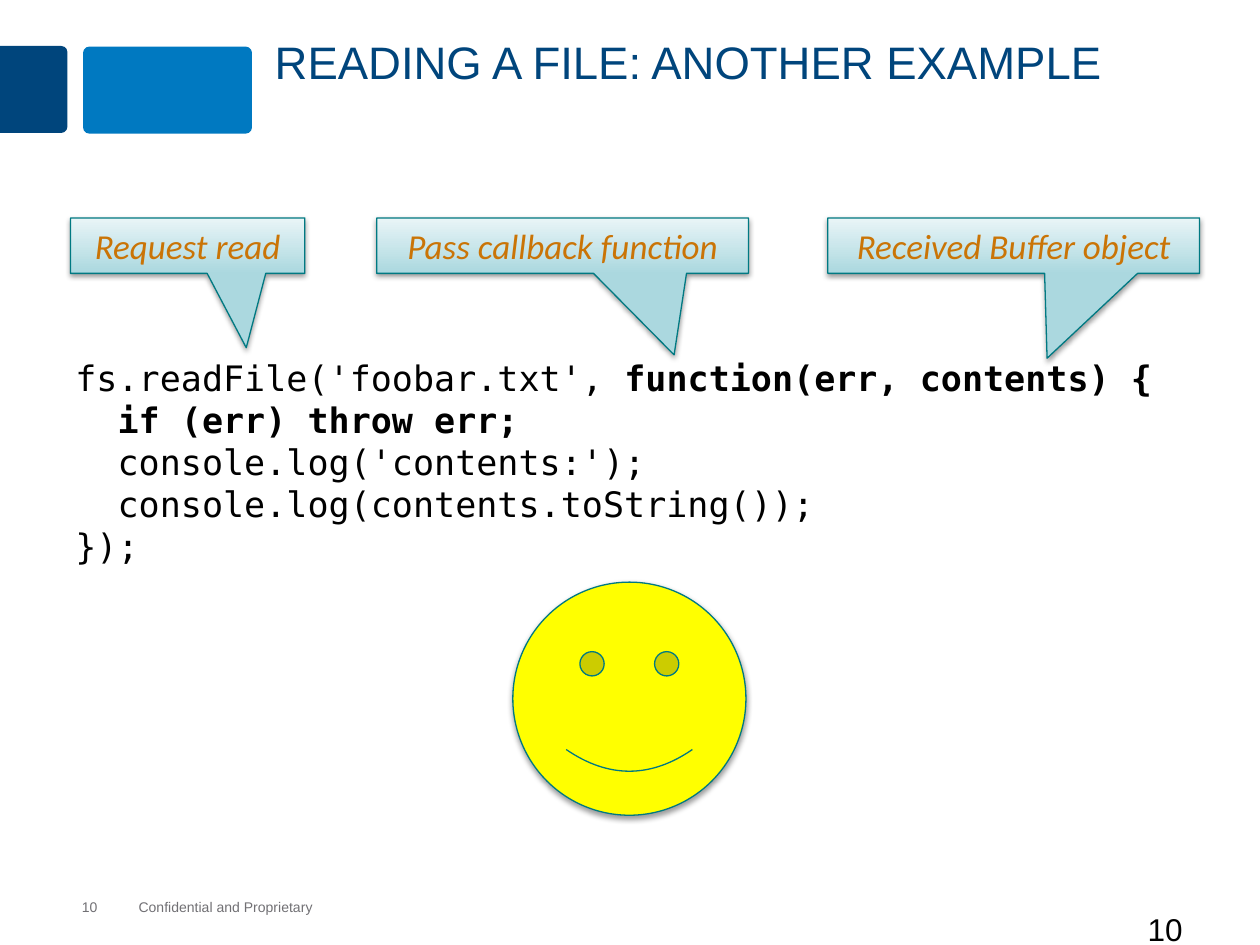
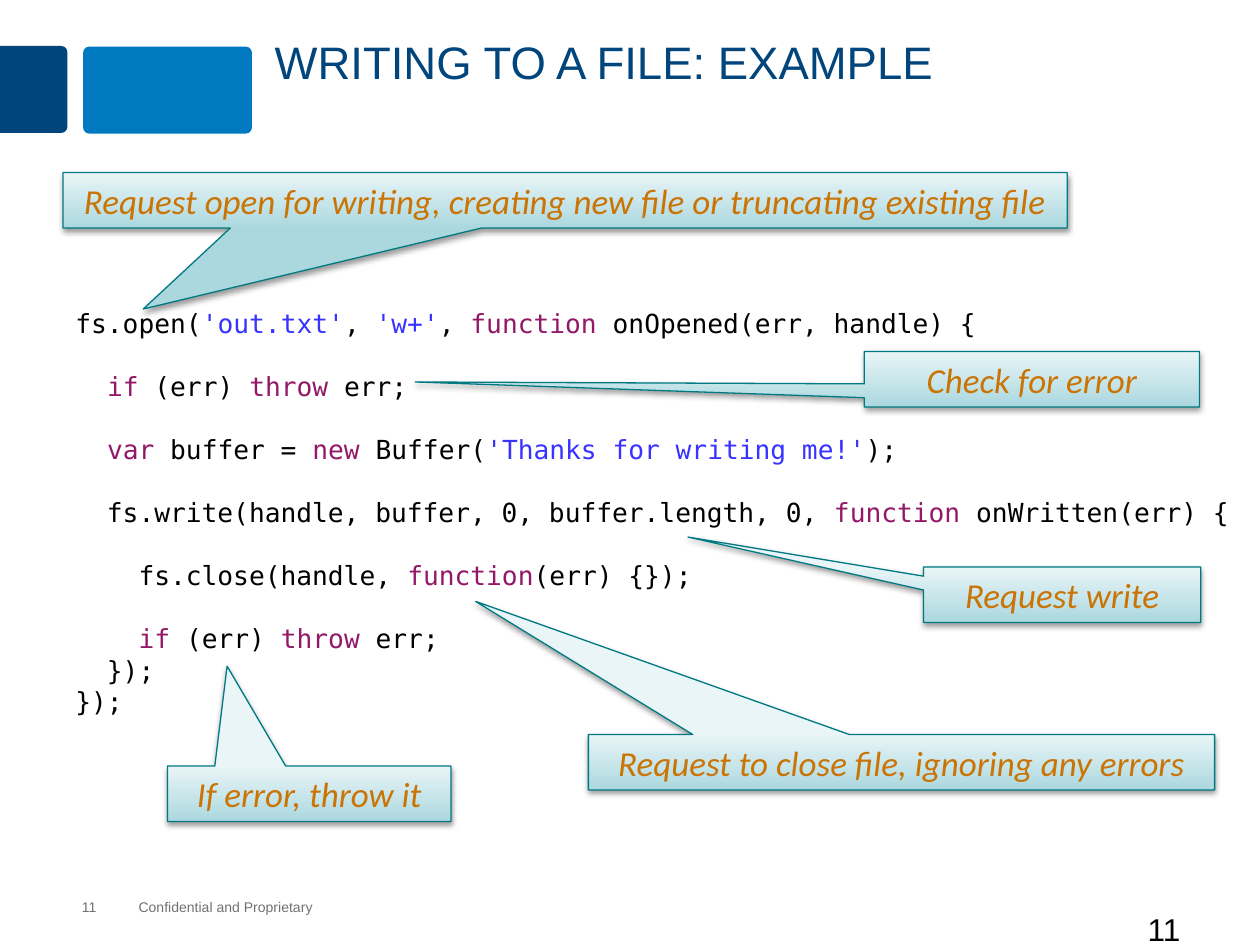
from lxml import etree
from pptx import Presentation
from pptx.dml.color import RGBColor
from pptx.enum.shapes import MSO_SHAPE
from pptx.enum.text import MSO_ANCHOR, PP_ALIGN
from pptx.util import Inches, Pt

CALLOUT = MSO_SHAPE.RECTANGULAR_CALLOUT
SMILEY = MSO_SHAPE.SMILEY_FACE
ROUNDED = MSO_SHAPE.ROUNDED_RECTANGLE
ROUNDED_TOP = MSO_SHAPE.ROUND_2_SAME_RECTANGLE
TOP, MIDDLE = MSO_ANCHOR.TOP, MSO_ANCHOR.MIDDLE
LEFT, CENTER = PP_ALIGN.LEFT, PP_ALIGN.CENTER

colour = RGBColor.from_string
NAVY, BLUE, GREY, BLACK = "00457C", "0079C1", "717074", "000000"
TEAL, TEAL_MID, TEAL_PALE = "007982", "ABD8DF", "E9F5F7"
ORANGE, YELLOW = "CA7406", "FFFF00"
KEYWORD, STRING = "931968", "3933FF"
KEYWORDS = {"function", "if", "throw", "var", "new"}

SHADOW = (
    '<a:effectLst xmlns:a="http://schemas.openxmlformats.org/drawingml/2006/main">'
    '<a:outerShdw blurRad="40000" dist="20000" dir="5400000" rotWithShape="0">'
    '<a:srgbClr val="000000"><a:alpha val="38000"/></a:srgbClr>'
    '</a:outerShdw></a:effectLst>'
)

# Each code line is a list of pieces; an empty list is an empty line
READ_CODE = [
    ["fs.readFile('foobar.txt', ", "function(err, contents) {"],
    ["  if (err) throw err;"],
    ["  console.log('contents:');"],
    ["  console.log(contents.toString());"],
    ["});"],
]
READ_BOLD = {"function(err, contents) {", "  if (err) throw err;"}
WRITE_CODE = [
    ["fs.open(", "'out.txt'", ", ", "'w+'", ", ", "function ", "onOpened(err, handle) {"],
    [],
    ["  ", "if ", "(err) ", "throw", " err;"],
    [],
    ["  ", "var ", "buffer = ", "new", " Buffer(", "'Thanks for writing me!'", ");"],
    [],
    ["  fs.write(handle, buffer, 0, buffer.length, 0, ", "function ", "onWritten(err) {"],
    [],
    ["    fs.close(handle, ", "function", "(err) {});"],
    [],
    ["    ", "if ", "(err) ", "throw", " err;"],
    ["  });"],
    ["});"],
]

# Callouts: text, left, top, width, pointer offset across and down
PAGES = [
    dict(number="10", title="READING A FILE: ANOTHER EXAMPLE", code=READ_CODE,
         bold=READ_BOLD, code_size=20, code_at=(0.5, 2.78, 9.02, 1.78),
         smiley_at=(4.07, 4.62, 1.85, 1.85),
         callouts=[
             ("Request read", 0.56, 1.73, 1.86, 0.25, 1.84),
             ("Pass callback function", 2.99, 1.73, 2.95, 0.3, 1.97),
             ("Received Buffer object", 6.57, 1.73, 2.95, 0.09, 2.03),
         ]),
    dict(number="11", title="WRITING TO A FILE: EXAMPLE", code=WRITE_CODE,
         bold=set(), code_size=15, code_at=(0.5, 2.39, 9.42, 3.99),
         smiley_at=None,
         callouts=[
             ("Request open for writing, creating new file or truncating existing file",
              0.5, 1.37, 7.97, -0.42, 1.96),
             ("Check for error", 6.86, 2.79, 2.66, -1.84, 0.05),
             ("Request write", 7.33, 4.5, 2.2, -1.35, -1.04),
             ("Request to close file, ignoring any errors", 4.67, 5.83, 4.97, -0.68, -2.9),
             ("If error, throw it", 1.33, 6.08, 2.25, -0.29, -2.3),
         ]),
]


def add_text(page, at, text, size, hex_colour, inset=True):
    box = page.shapes.add_textbox(*map(Inches, at))
    frame = box.text_frame
    frame.word_wrap = True
    if not inset:
        frame.margin_left = frame.margin_right = 0
        frame.margin_top = frame.margin_bottom = 0
        frame.vertical_anchor = MIDDLE
    para = frame.paragraphs[0]
    para.text = text
    para.font.name = "Arial"
    para.font.size = Pt(size)
    para.font.color.rgb = colour(hex_colour)


def add_figure(page, kind, at, fill, outlined=True):
    shape = page.shapes.add_shape(kind, *map(Inches, at))
    shape.shadow.inherit = False
    shape.fill.solid()
    shape.fill.fore_color.rgb = colour(fill)
    if outlined:
        shape.line.color.rgb = colour(TEAL)
        shape.line.width = Pt(0.75)
        properties = shape._element.spPr
        properties.replace(properties[-1], etree.fromstring(SHADOW))
    else:
        shape.line.fill.background()
    return shape


deck = Presentation()
deck.slide_width, deck.slide_height = Inches(10), Inches(7.5)

for content in PAGES:
    page = deck.slides.add_slide(deck.slide_layouts[5])

    # Header blocks
    tab = add_figure(page, ROUNDED_TOP, (-0.08, 0.44, 0.69, 0.54), NAVY, outlined=False)
    tab.rotation = 90
    tab.adjustments[0] = 0.09
    block = add_figure(page, ROUNDED, (0.66, 0.37, 1.34, 0.69), BLUE, outlined=False)
    block.adjustments[0] = 0.07

    # Title
    title = page.shapes.title
    title.left, title.top, title.width, title.height = map(Inches, (2.08, 0.25, 7.67, 0.91))
    title.text_frame.text = content["title"]
    title.text_frame.vertical_anchor = TOP
    para = title.text_frame.paragraphs[0]
    para.alignment = LEFT
    para.line_spacing = 0.95
    para.font.name = "Arial"
    para.font.size = Pt(26)
    para.font.color.rgb = colour(NAVY)

    # Footer and page numbers
    add_text(page, (1.1, 7.13, 2, 0.13), "Confidential and Proprietary", 8, GREY, inset=False)
    add_text(page, (0.65, 7.13, 0.4, 0.13), content["number"], 8, GREY, inset=False)
    add_text(page, (9.01, 7.17, 0.99, 0.5), content["number"], 18, BLACK)

    # Code: an empty line becomes space before the next one
    frame = page.shapes.add_textbox(*map(Inches, content["code_at"])).text_frame
    frame.word_wrap = True
    para, gap = frame.paragraphs[0], 0
    for index, pieces in enumerate(content["code"]):
        if not pieces:
            gap = 18
            continue
        if index:
            para = frame.add_paragraph()
            para.space_before = Pt(gap)
        gap = 0
        para.font.name = "DejaVu Sans Mono"
        para.font.size = Pt(content["code_size"])
        para.font.color.rgb = colour(BLACK)
        for piece in pieces:
            span = para.add_run()
            span.text = piece
            if piece in content["bold"]:
                span.font.bold = True
            if piece.strip() in KEYWORDS:
                span.font.color.rgb = colour(KEYWORD)
            elif piece.startswith("'"):
                span.font.color.rgb = colour(STRING)

    # Smiley
    if content["smiley_at"]:
        add_figure(page, SMILEY, content["smiley_at"], YELLOW)

    # Callouts
    for text, left, top, width, across, down in content["callouts"]:
        callout = add_figure(page, CALLOUT, (left, top, width, 0.44), TEAL_MID)
        callout.adjustments[0], callout.adjustments[1] = across, down
        callout.fill.gradient()
        callout.fill.gradient_angle = 90
        for stop, shade in zip(callout.fill.gradient_stops, (TEAL_MID, TEAL_PALE)):
            stop.color.rgb = colour(shade)
        callout.text_frame.word_wrap = True
        para = callout.text_frame.paragraphs[0]
        para.text = text
        para.alignment = CENTER
        para.font.name = "Calibri"
        para.font.size = Pt(20)
        para.font.italic = True
        para.font.color.rgb = colour(ORANGE)

deck.save("out.pptx")
